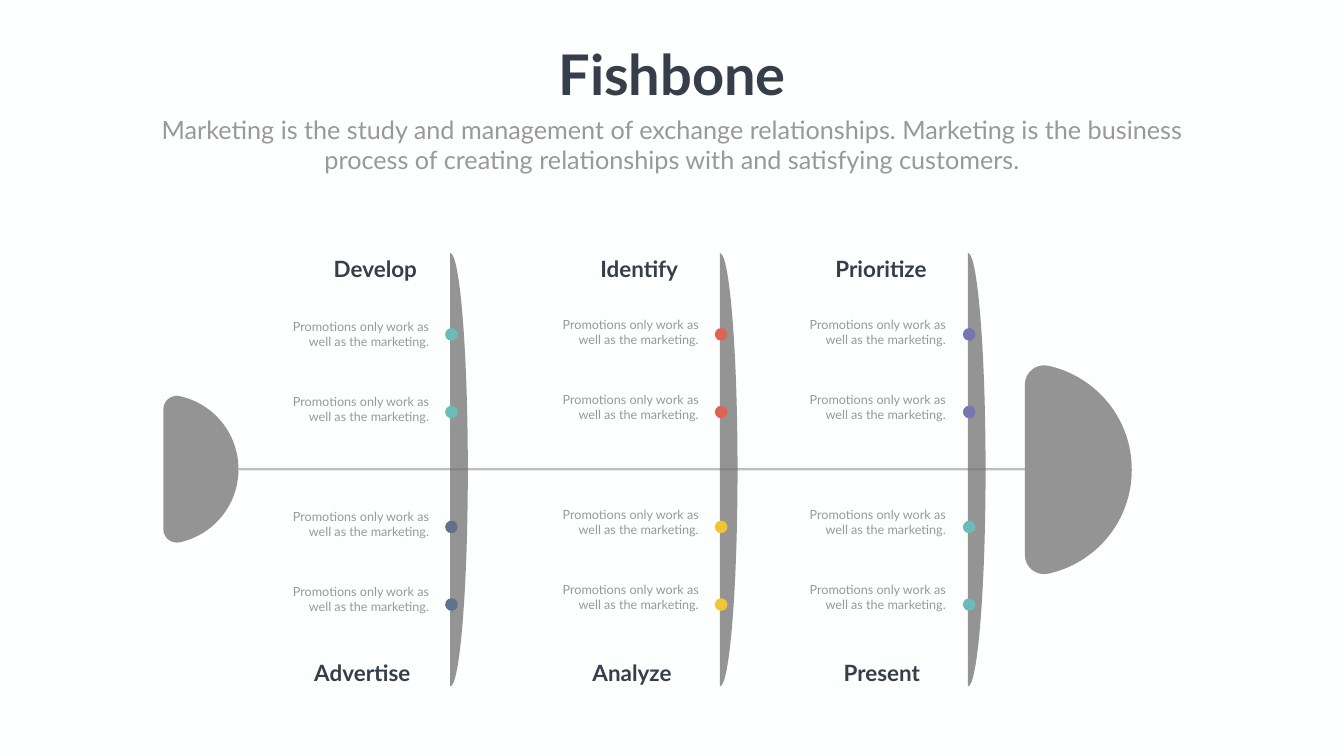
from dataclasses import dataclass
from pptx import Presentation
from pptx.dml.color import RGBColor
from pptx.enum.shapes import MSO_CONNECTOR, MSO_SHAPE
from pptx.enum.text import MSO_ANCHOR, MSO_AUTO_SIZE, PP_ALIGN
from pptx.oxml.ns import qn
from pptx.util import Inches, Pt
from lxml import etree

LINE, OVAL = MSO_CONNECTOR.STRAIGHT, MSO_SHAPE.OVAL
TOP, FIXED = MSO_ANCHOR.TOP, MSO_AUTO_SIZE.NONE
MID, RIGHT = PP_ALIGN.CENTER, PP_ALIGN.RIGHT


@dataclass(frozen=True)
class Theme:
    font: str = "Lato"
    back: str = "FDFFFE"
    dark: str = "363E49"
    soft: str = "989998"
    bone: str = "727372"
    spine: str = "808080"
    teal: str = "6BBCB8"
    red: str = "DF6352"
    violet: str = "7975B3"
    navy: str = "60718E"
    gold: str = "F0C733"
    title: int = 80
    lead: int = 36
    head: int = 32
    note: int = 18


T = Theme()
TITLE = "Fishbone"
LEAD = ("Marketing is the study and management of exchange relationships. "
        "Marketing is the business process of creating relationships with "
        "and satisfying customers.")
NOTE = "Promotions only work as\nwell as the marketing."
RIBS = [
    {"x": 8.93, "label": 6.19, "note": 5.7, "drop": 0.03,
     "heads": ("Develop", "Advertise"), "dots": (T.teal, T.navy)},
    {"x": 14.28, "label": 11.37, "note": 11.05, "drop": 0,
     "heads": ("Identify", "Analyze"), "dots": (T.red, T.gold)},
    {"x": 19.2, "label": 16.3, "note": 15.95, "drop": 0,
     "heads": ("Prioritize", "Present"), "dots": (T.violet, T.teal)},
]
HALVES = [
    {"head": 5.01, "shift": 0, "note": 6.24, "dot": 6.51},
    {"head": 13.02, "shift": -0.13, "note": 10.01, "dot": 10.33},
]
NOTE_GAP, DOT_GAP, DOT = 1.49, 1.54, 0.25
SPINE = 9.31
CAP = [(0, 90), (0, 95.8), (11.3, 100), (22.2, 98.6),
       (67, 93.6), (100, 73.8), (100, 50)]
FIN = [(0, 100), (54.3, 100), (100, 77.6), (100, 50)]

deck = Presentation()
deck.slide_width, deck.slide_height = Inches(26.66), Inches(15)
slide = deck.slides.add_slide(deck.slide_layouts[1])
shapes = slide.shapes


def rgb(code):
    return RGBColor.from_string(code)


def paint(fill, code):
    fill.solid()
    fill.fore_color.rgb = rgb(code)


def fade(shape, share):
    tint = shape.element.spPr.find(".//" + qn("a:srgbClr"))
    etree.SubElement(tint, qn("a:alpha")).set("val", str(share * 1000))


def write(box, area, text, size, color, align, bold=False, wrap=True):
    box.left, box.top, box.width, box.height = map(Inches, area)
    frame = box.text_frame
    frame.text = text
    frame.word_wrap = wrap
    frame.auto_size = FIXED
    frame.vertical_anchor = TOP
    for para in frame.paragraphs:
        props = para._p.get_or_add_pPr()
        props.set("marL", "0")
        props.set("indent", "0")
        etree.SubElement(props, qn("a:buNone"))
        para.alignment = align
        para.space_before = Pt(0)
        for run in para.runs:
            font = run.font
            font.name, font.size, font.bold = T.font, Pt(size), bold
            font.color.rgb = rgb(color)


def label(area, *style):
    write(shapes.add_textbox(0, 0, 0, 0), area, *style)


def bend(form):
    lines = list(form.element.iter(qn("a:lnTo")))
    for first in range(0, len(lines), 3):
        arc = etree.Element(qn("a:cubicBezTo"))
        lines[first].addprevious(arc)
        for line in lines[first:first + 3]:
            arc.append(line[0])
            line.getparent().remove(line)


def shell(left, mid, width, height, half):
    full = half + [(x, 100 - y) for x, y in half[-2::-1]]
    top = mid - height / 2
    spots = [(Inches(left + x * width / 100), Inches(top + y * height / 100))
             for x, y in full]
    pen = shapes.build_freeform(*spots[0])
    pen.add_line_segments(spots[1:], close=True)
    form = pen.convert_to_shape()
    bend(form)
    form.shadow.inherit = False
    form.line.fill.background()
    paint(form.fill, T.bone)
    fade(form, 76)


def dot(left, top, color):
    mark = shapes.add_shape(OVAL, *map(Inches, (left, top, DOT, DOT)))
    mark.shadow.inherit = False
    mark.line.fill.background()
    paint(mark.fill, color)


paint(slide.background.fill, T.back)
write(shapes.title, (10.94, 0.74, 4.79, 1.45), TITLE, T.title, T.dark, MID,
      True, False)
write(slide.placeholders[1], (2.92, 2.22, 20.82, 1.31), LEAD, T.lead, T.soft, MID)

spine = shapes.add_connector(LINE, *map(Inches, (4.73, SPINE, 20.33, SPINE)))
spine.line.width = Pt(3.5)
spine.line.color.rgb = rgb(T.spine)
fade(spine, 50)
etree.SubElement(spine.element.spPr, qn("a:effectLst"))

shell(20.33, 9.32, 2.12, 4.24, CAP)
shell(3.24, SPINE, 1.49, 2.98, CAP)
for rib in RIBS:
    shell(rib["x"], 9.32, 0.35, 8.6, FIN)
    for half, head, color in zip(HALVES, rib["heads"], rib["dots"]):
        label((rib["label"] + half["shift"], half["head"], 2.18, 0.64),
              head, T.head, T.dark, RIGHT, True)
        for row in range(2):
            dot(rib["x"] - 0.1, half["dot"] + row * DOT_GAP, color)
            top = half["note"] + rib["drop"] + row * NOTE_GAP
            label((rib["note"], top, 2.91, 0.71), NOTE, T.note, T.soft, RIGHT)

deck.save("out.pptx")
